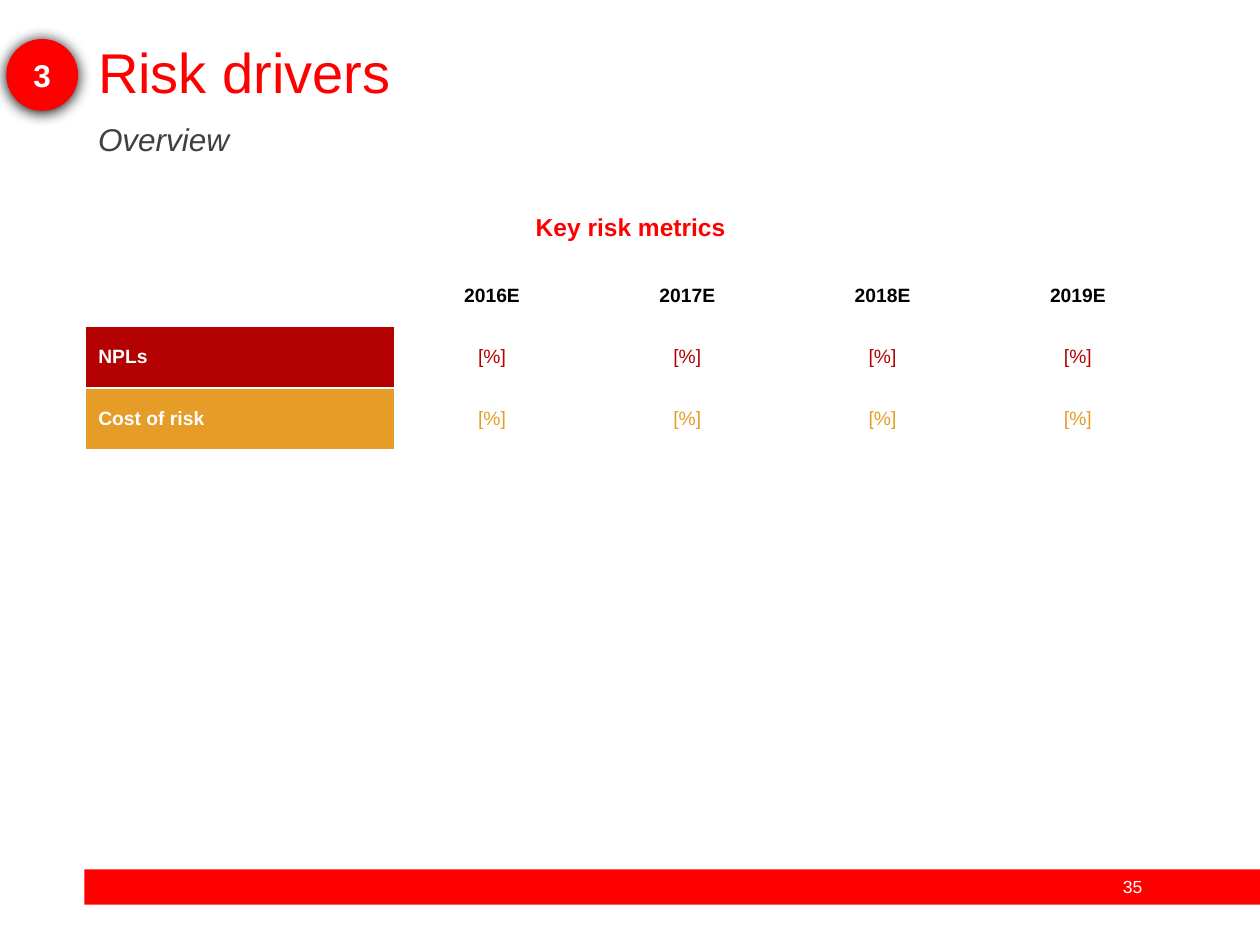
import dataclasses
import pptx
import pptx.dml.color
import pptx.enum.shapes
import pptx.enum.text
import pptx.oxml
import pptx.oxml.ns
import pptx.util

Inches = pptx.util.Inches
ALIGN = pptx.enum.text.PP_ALIGN
SHAPE = pptx.enum.shapes.MSO_SHAPE
MIDDLE = pptx.enum.text.MSO_ANCHOR.MIDDLE
NS = pptx.oxml.ns.nsdecls("a")
COLORS = {
    "red": "FF0000",
    "dark": "B30000",
    "gold": "E59D27",
    "gray": "404040",
    "black": "000000",
    "white": "FFFFFF",
}


@dataclasses.dataclass
class Style:
    size: float
    color: str
    bold: bool = False
    italic: bool = False
    align: ALIGN = ALIGN.LEFT


@dataclasses.dataclass
class Label:
    text: str
    box: tuple
    style: Style
    line: float = 1.0


@dataclasses.dataclass
class Metric:
    name: str
    color: str
    values: list


def get_rgb(name: str) -> pptx.dml.color.RGBColor:
    return pptx.dml.color.RGBColor.from_string(COLORS[name])


def write(frame, text: str, style: Style, line: float = 1.0) -> None:
    para = frame.paragraphs[0]
    para.alignment = style.align
    para.line_spacing = line
    run = para.add_run()
    run.text = text
    values = {
        "name": "Arial",
        "size": pptx.util.Pt(style.size),
        "bold": style.bold,
        "italic": style.italic,
    }
    for key, value in values.items():
        setattr(run.font, key, value)
    run.font.color.rgb = get_rgb(style.color)


def add_label(slide, label: Label) -> None:
    box = slide.shapes.add_textbox(*map(Inches, label.box))
    box.text_frame.word_wrap = True
    write(box.text_frame, label.text, label.style, label.line)


def add_solid(slide, kind: SHAPE, box: tuple, color: str):
    shape = slide.shapes.add_shape(kind, *map(Inches, box))
    shape.shadow.inherit = False
    shape.fill.solid()
    shape.fill.fore_color.rgb = get_rgb(color)
    shape.line.fill.background()
    return shape


def add_badge(slide, text: str, box: tuple) -> None:
    badge = add_solid(slide, SHAPE.OVAL, box, "red")
    frame = badge.text_frame
    frame.vertical_anchor = MIDDLE
    write(frame, text, Style(18, "white", bold=True, align=ALIGN.CENTER))
    glow = pptx.oxml.parse_xml(
        f'<a:outerShdw {NS} blurRad="{pptx.util.Pt(8.5)}" dist="{pptx.util.Pt(1)}" '
        f'dir="5400000" rotWithShape="0"><a:srgbClr val="{COLORS["black"]}"/></a:outerShdw>'
    )
    badge._element.spPr.find(pptx.oxml.ns.qn("a:effectLst")).append(glow)


def dress(cell, fill: str = "") -> None:
    cell.vertical_anchor = MIDDLE
    if fill:
        cell.fill.solid()
        cell.fill.fore_color.rgb = get_rgb(fill)
    else:
        cell.fill.background()
    # White borders come before the fill in the cell XML
    props = cell._tc.get_or_add_tcPr()
    for index, side in enumerate("LRTB"):
        props.insert(index, pptx.oxml.parse_xml(
            f'<a:ln{side} {NS} w="{pptx.util.Pt(1)}"><a:solidFill>'
            f'<a:srgbClr val="{COLORS["white"]}"/></a:solidFill></a:ln{side}>'
        ))


def add_grid(slide, title: str, years: list, metrics: list) -> None:
    widths = [2.45] + [1.55] * len(years)
    heights = [0.58] + [0.49] * (len(metrics) + 1)
    frame = slide.shapes.add_table(
        len(heights), len(widths), Inches(0.68), Inches(1.52),
        Inches(sum(widths)), Inches(sum(heights)),
    )
    table = frame.table
    for key in ("first_row", "horz_banding"):
        setattr(table, key, False)
    for column, width in zip(table.columns, widths):
        column.width = Inches(width)
    for row, height in zip(table.rows, heights):
        row.height = Inches(height)

    # Title and year rows
    table.cell(0, 0).merge(table.cell(0, len(years)))
    write(table.cell(0, 0).text_frame, title,
          Style(14, "red", bold=True, align=ALIGN.CENTER))
    for col, year in enumerate(years, 1):
        write(table.cell(1, col).text_frame, year,
              Style(11, "black", bold=True, align=ALIGN.CENTER))
    for row in range(2):
        for col in range(len(widths)):
            dress(table.cell(row, col))

    # One row for each metric
    for row, metric in enumerate(metrics, 2):
        head = table.cell(row, 0)
        write(head.text_frame, metric.name, Style(11, "white", bold=True))
        dress(head, metric.color)
        for col, value in enumerate(metric.values, 1):
            cell = table.cell(row, col)
            write(cell.text_frame, value,
                  Style(11, metric.color, align=ALIGN.CENTER))
            dress(cell)


def main() -> None:
    deck = pptx.Presentation()
    deck.slide_width, deck.slide_height = Inches(10), Inches(7.5)
    slide = deck.slides.add_slide(deck.slide_layouts[6])

    # Footer band
    add_solid(slide, SHAPE.RECTANGLE, (0.67, 6.9, 9.33, 0.28), "red")

    # Page number, title and subtitle
    labels = [
        Label("35", (8.71, 6.9, 0.56, 0.27), Style(10, "white", align=ALIGN.CENTER)),
        Label("Risk drivers", (0.68, 0.31, 8.62, 0.57), Style(32, "red"), 0.9),
        Label("Overview", (0.68, 0.94, 8.63, 0.41), Style(18, "gray", italic=True), 0.9),
    ]
    for label in labels:
        add_label(slide, label)

    # Section badge
    add_badge(slide, "3", (0.05, 0.31, 0.57, 0.57))

    # Metrics table
    years = [f"{year}E" for year in range(2016, 2020)]
    blank = ["[%]"] * len(years)
    metrics = [Metric("NPLs", "dark", blank), Metric("Cost of risk", "gold", blank)]
    add_grid(slide, "Key risk metrics", years, metrics)

    deck.save("out.pptx")


if __name__ == "__main__":
    main()
